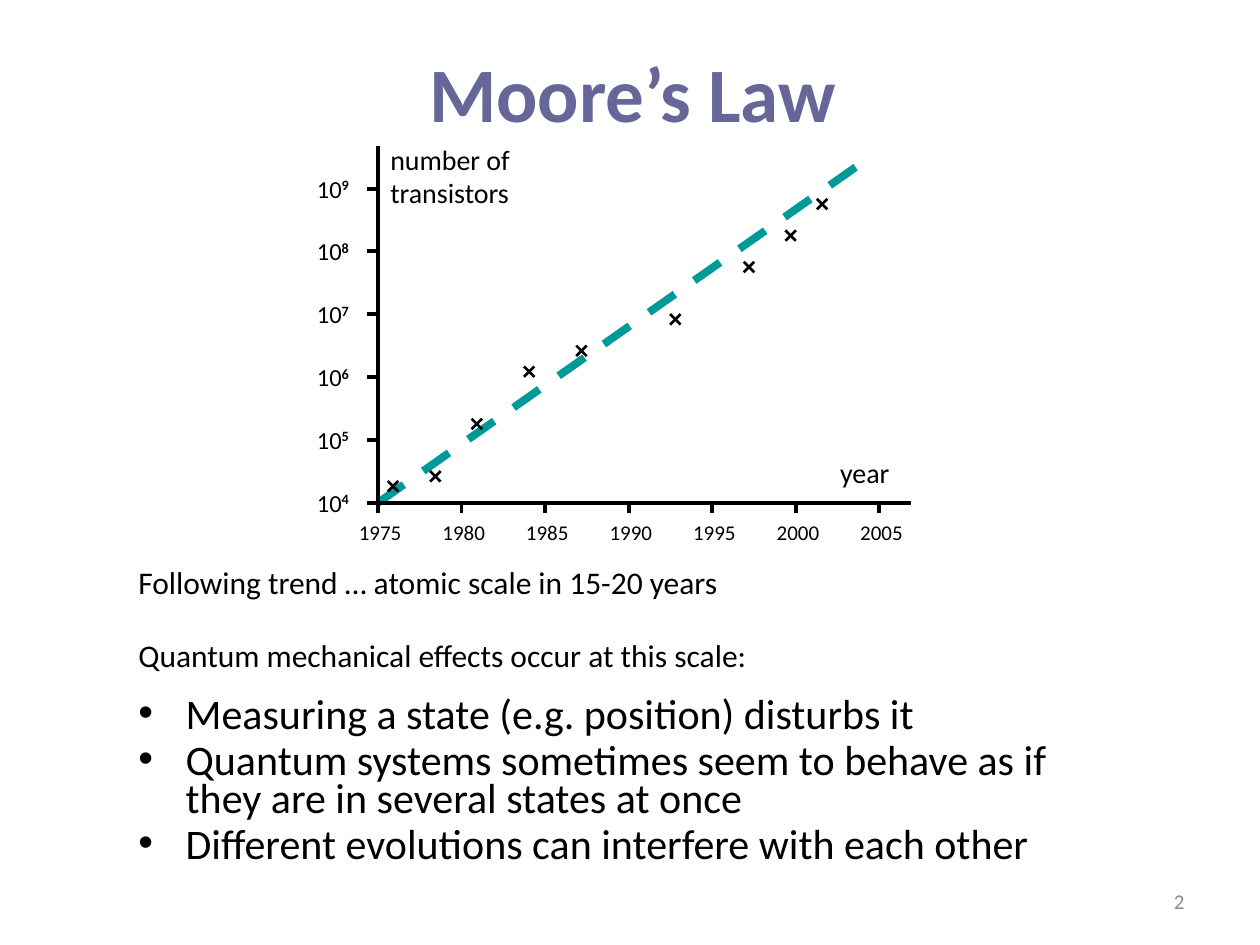
from lxml import etree
from pptx import Presentation
from pptx.dml.color import RGBColor
from pptx.enum.dml import MSO_LINE
from pptx.enum.shapes import MSO_CONNECTOR
from pptx.enum.text import MSO_ANCHOR, PP_ALIGN
from pptx.oxml.ns import qn
from pptx.util import Pt

STRAIGHT = MSO_CONNECTOR.STRAIGHT
DASH = MSO_LINE.DASH
MIDDLE, TOP = MSO_ANCHOR.MIDDLE, MSO_ANCHOR.TOP
LEFT, CENTER, RIGHT = PP_ALIGN.LEFT, PP_ALIGN.CENTER, PP_ALIGN.RIGHT

BLACK = RGBColor(0x00, 0x00, 0x00)
GRAY = RGBColor(0x8C, 0x8C, 0x8C)
PURPLE = RGBColor(0x66, 0x66, 0x99)
TEAL = RGBColor(0x00, 0x99, 0x99)
FONT = "Calibri"

# Plot geometry in points
ORIGIN_X, ORIGIN_Y = 216, 287.3
STEP_X, STEP_Y = 47.75, 35.9
TICK = 6
YEARS = range(1975, 2006, 5)
EXPONENTS = range(4, 10)
MARKS = [(224.6, 277.9), (248.8, 272.2), (272.5, 242.3),
         (302.4, 212.4), (332.3, 200.5), (385.9, 182.5),
         (428, 152.6), (451.8, 134.6), (469.8, 116.6)]

BULLETS = [
    "Measuring a state (e.g. position) disturbs it",
    "Quantum systems sometimes seem to behave as if they are in several "
    "states at once",
    "Different evolutions can interfere with each other",
]


def format_span(span, size, color=BLACK, bold=False):
    values = {"name": FONT, "size": Pt(size), "bold": bold}
    for name, value in values.items():
        setattr(span.font, name, value)
    span.font.color.rgb = color


def add_text(shapes, place, lines, size, color=BLACK, align=LEFT, anchor=TOP):
    box = shapes.add_textbox(*map(Pt, place))
    frame = box.text_frame
    frame.word_wrap = True
    frame.vertical_anchor = anchor
    for number, line in enumerate(lines):
        para = frame.add_paragraph() if number else frame.paragraphs[0]
        para.alignment = align
        span = para.add_run()
        span.text = line
        format_span(span, size, color)
    return box


def add_line(shapes, start, end, color=BLACK, width=2.25, dash=None):
    line = shapes.add_connector(STRAIGHT, *map(Pt, (*start, *end)))
    line.line.color.rgb = color
    line.line.width = Pt(width)
    if dash is not None:
        line.line.dash_style = dash
    etree.SubElement(line._element.spPr, qn("a:effectLst"))


def add_cross(shapes, x, y, half=3):
    for rise in (half, -half):
        add_line(shapes, (x - half, y - rise), (x + half, y + rise), width=1.5)


def add_title(page, text):
    title = page.shapes.title
    place = {"left": 37.5, "top": 7.2, "width": 648, "height": 90}
    for name, value in place.items():
        setattr(title, name, Pt(value))
    title.text_frame.vertical_anchor = MIDDLE
    para = title.text_frame.paragraphs[0]
    para.alignment = CENTER
    span = para.add_run()
    span.text = text
    format_span(span, 44, PURPLE, True)


def add_bullets(shapes, place, lines):
    box = add_text(shapes, place, lines, 24)
    for para in box.text_frame.paragraphs:
        para.line_spacing = 0.75
        para.space_before = Pt(4.8)
        props = para._p.get_or_add_pPr()
        props.set("marL", str(Pt(27)))
        props.set("indent", str(-Pt(27)))
        etree.SubElement(props, qn("a:buFont")).set("typeface", "Arial")
        etree.SubElement(props, qn("a:buChar")).set("char", "•")


def add_plot(page):
    shapes = page.shapes.add_group_shape().shapes

    # Trend and axes
    add_line(shapes, (ORIGIN_X, ORIGIN_Y), (496.8, 90), TEAL, 4.5, DASH)
    add_line(shapes, (ORIGIN_X - TICK, ORIGIN_Y), (520.6, ORIGIN_Y))
    add_line(shapes, (ORIGIN_X, 83.5), (ORIGIN_X, ORIGIN_Y + TICK))

    # Ticks and labels; the axes already mark the origin
    for number, year in enumerate(YEARS):
        x = ORIGIN_X + number * STEP_X
        if number:
            add_line(shapes, (x, ORIGIN_Y), (x, ORIGIN_Y + TICK))
        add_text(shapes, (x - 18, 293.2, 42, 21.6), [str(year)], 12)
    for number, exponent in enumerate(EXPONENTS):
        y = ORIGIN_Y - number * STEP_Y
        if number:
            add_line(shapes, (ORIGIN_X, y), (ORIGIN_X - TICK, y))
        box = add_text(shapes, (174, y - 12.2, 35.5, 24), ["10"], 14)
        power = box.text_frame.paragraphs[0].add_run()
        power.text = str(exponent)
        format_span(power, 14, bold=True)
        power._r.get_or_add_rPr().set("baseline", "30000")

    # Transistor counts
    for x, y in MARKS:
        add_cross(shapes, x, y)

    # Axis names
    add_text(shapes, (216, 77.8, 91.5, 46), ["number of", "transistors"], 16)
    add_text(shapes, (473, 257, 46, 26.6), ["year"], 16)


def main():
    deck = Presentation()
    deck.slide_width, deck.slide_height = Pt(720), Pt(540)
    page = deck.slides.add_slide(deck.slide_layouts[5])
    shapes = page.shapes

    add_title(page, "Moore’s Law")
    add_text(shapes, (516, 500.5, 168, 28.8), ["2"], 12, GRAY, RIGHT, MIDDLE)
    add_bullets(shapes, (72, 396, 558, 114), BULLETS)
    add_text(shapes, (72, 318, 507, 36),
             ["Following trend … atomic scale in 15-20 years"], 18)
    add_text(shapes, (72, 360, 524, 36),
             ["Quantum mechanical effects occur at this scale:"], 18)
    add_plot(page)

    deck.save("out.pptx")


if __name__ == "__main__":
    main()
